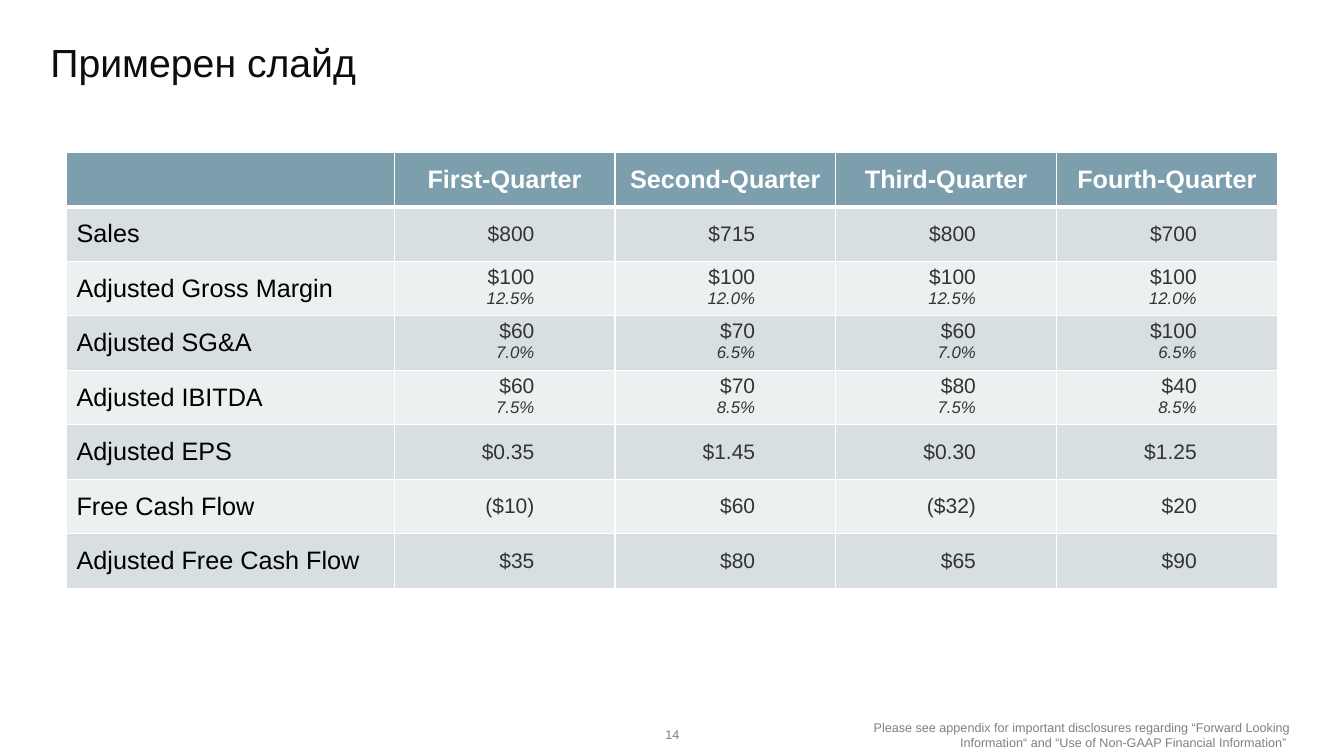
from copy import deepcopy
from dataclasses import dataclass

from lxml import etree
from pptx import Presentation
from pptx.dml.color import RGBColor
from pptx.enum.text import MSO_ANCHOR, PP_ALIGN
from pptx.oxml.ns import qn
from pptx.util import Inches, Pt

LEFT, CENTER, RIGHT = PP_ALIGN.LEFT, PP_ALIGN.CENTER, PP_ALIGN.RIGHT
MIDDLE = MSO_ANCHOR.MIDDLE
TITLE_ONLY = 5


@dataclass(frozen=True)
class Theme:
    font: str = "Arial"
    title: str = "0D0D0D"
    header: str = "7D9EAD"
    bands: tuple = ("D7DFE3", "ECF0F1")
    white: str = "FFFFFF"
    label: str = "000000"
    figure: str = "333333"
    footer: str = "808080"
    title_size: int = 28
    label_size: int = 18
    figure_size: int = 15
    percent_size: int = 12
    footer_size: int = 9


THEME = Theme()

QUARTERS = ["First-Quarter", "Second-Quarter", "Third-Quarter", "Fourth-Quarter"]
METRICS = [
    ("Sales", ["$800", "$715", "$800", "$700"], []),
    ("Adjusted Gross Margin", ["$100", "$100", "$100", "$100"],
     ["12.5%", "12.0%", "12.5%", "12.0%"]),
    ("Adjusted SG&A", ["$60", "$70", "$60", "$100"], ["7.0%", "6.5%", "7.0%", "6.5%"]),
    ("Adjusted IBITDA", ["$60", "$70", "$80", "$40"], ["7.5%", "8.5%", "7.5%", "8.5%"]),
    ("Adjusted EPS", ["$0.35", "$1.45", "$0.30", "$1.25"], []),
    ("Free Cash Flow", ["($10)", "$60", "($32)", "$20"], []),
    ("Adjusted Free Cash Flow", ["$35", "$80", "$65", "$90"], []),
]
DISCLOSURE = ("Please see appendix for important disclosures regarding “Forward Looking "
              "Information“ and “Use of Non-GAAP Financial Information” ")


def apply(target, formats):
    for attribute, value in formats.items():
        setattr(target, attribute, value)


def add_text(paragraph, text, size, color, bold=False, italic=False):
    run = paragraph.add_run()
    run.text = text
    apply(run.font, {"name": THEME.font, "size": Pt(size), "bold": bold, "italic": italic})
    run.font.color.rgb = RGBColor.from_string(color)
    return run


def add_break_like(paragraph, run):
    paragraph.add_line_break()
    paragraph._p[-1].append(deepcopy(run._r.rPr))


def set_borders(cell, bottom_width):
    properties = cell._tc.get_or_add_tcPr()
    widths = {"a:lnL": 1, "a:lnR": 1, "a:lnT": 1, "a:lnB": bottom_width}
    for position, (edge, width) in enumerate(widths.items()):
        line = etree.Element(qn(edge), w=str(Pt(width)))
        fill = etree.SubElement(line, qn("a:solidFill"))
        etree.SubElement(fill, qn("a:srgbClr"), val=THEME.white)
        properties.insert(position, line)


def style_cell(cell, fill, alignment, bottom_width=1):
    cell.vertical_anchor = MIDDLE
    cell.fill.solid()
    cell.fill.fore_color.rgb = RGBColor.from_string(fill)
    set_borders(cell, bottom_width)
    paragraph = cell.text_frame.paragraphs[0]
    paragraph.alignment = alignment
    return paragraph


def place_title(slide, text, left, top, width, height):
    title = slide.shapes.title
    apply(title, {"left": Inches(left), "top": Inches(top),
                  "width": Inches(width), "height": Inches(height)})
    title.text_frame.vertical_anchor = MIDDLE
    paragraph = title.text_frame.paragraphs[0]
    apply(paragraph, {"alignment": LEFT, "line_spacing": 0.9})
    add_text(paragraph, text, THEME.title_size, THEME.title)


def fill_figure(cell, band, figure, percent):
    paragraph = style_cell(cell, band, RIGHT)
    apply(cell, {"margin_right": Inches(0.8),
                 "margin_top": Inches(0.01 if percent else 0.05)})
    amount = add_text(paragraph, figure, THEME.figure_size, THEME.figure)
    if percent:
        add_break_like(paragraph, amount)
        add_text(paragraph, percent, THEME.percent_size, THEME.figure, italic=True)


def place_results(slide, left, top, width, height, label_width):
    row_count, column_count = len(METRICS) + 1, len(QUARTERS) + 1
    results = slide.shapes.add_table(row_count, column_count, Inches(left), Inches(top),
                                     Inches(width), Inches(height)).table
    results.horz_banding = False
    for row in results.rows:
        row.height = Inches(height / row_count)
    for index, column in enumerate(results.columns):
        column.width = Inches((width - label_width) / len(QUARTERS) if index else label_width)

    for column, quarter in enumerate(["", *QUARTERS]):
        heading = style_cell(results.cell(0, column), THEME.header, CENTER, bottom_width=3)
        if quarter:
            add_text(heading, quarter, THEME.label_size, THEME.white, bold=True)

    for row, (metric, figures, percents) in enumerate(METRICS, 1):
        band = THEME.bands[(row - 1) % 2]
        label = style_cell(results.cell(row, 0), band, LEFT)
        add_text(label, metric, THEME.label_size, THEME.label)
        for column, figure in enumerate(figures, 1):
            percent = percents[column - 1] if percents else ""
            fill_figure(results.cell(row, column), band, figure, percent)


def place_footer(slide, text, alignment, left, top, width, height):
    footer = slide.shapes.add_textbox(Inches(left), Inches(top), Inches(width), Inches(height))
    apply(footer.text_frame, {"word_wrap": True, "vertical_anchor": MIDDLE})
    paragraph = footer.text_frame.paragraphs[0]
    paragraph.alignment = alignment
    add_text(paragraph, text, THEME.footer_size, THEME.footer)


def main():
    presentation = Presentation()
    apply(presentation, {"slide_width": Inches(13.33), "slide_height": Inches(7.5)})
    slide = presentation.slides.add_slide(presentation.slide_layouts[TITLE_ONLY])
    place_title(slide, "Примерен слайд", 0.4, 0.2, 11.03, 0.88)
    place_results(slide, 0.66, 1.51, 12.01, 4.33, label_width=3.25)
    place_footer(slide, "14", CENTER, 5.17, 7.09, 3, 0.4)
    place_footer(slide, DISCLOSURE, RIGHT, 8.39, 7.09, 4.5, 0.4)
    presentation.save("out.pptx")


if __name__ == "__main__":
    main()
